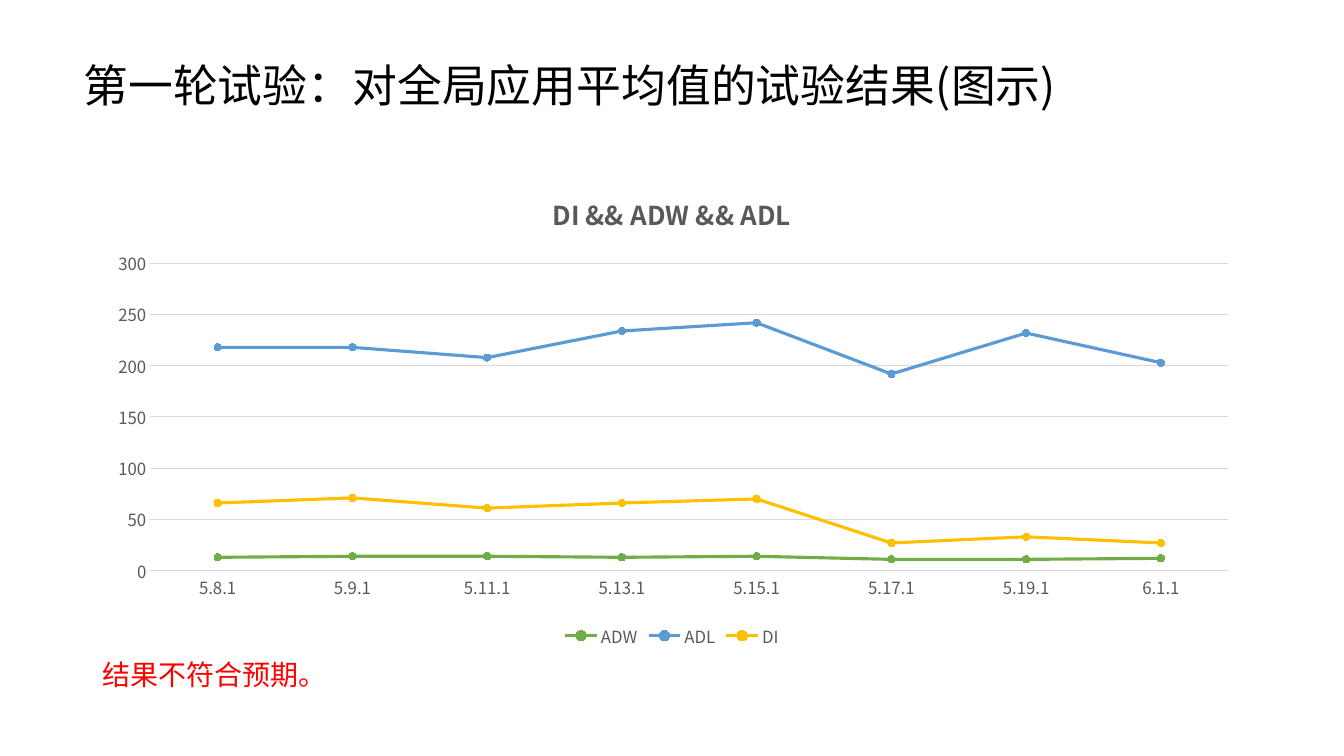
from lxml import etree
from pptx import Presentation
from pptx.chart.data import CategoryChartData
from pptx.dml.color import RGBColor
from pptx.enum.chart import XL_CHART_TYPE as ChartType
from pptx.enum.chart import XL_LEGEND_POSITION as LegendPosition
from pptx.enum.chart import XL_MARKER_STYLE as MarkerStyle
from pptx.enum.chart import XL_TICK_MARK as TickMark
from pptx.enum.text import MSO_ANCHOR as Anchor
from pptx.enum.text import PP_ALIGN as Align
from pptx.oxml.ns import qn
from pptx.util import Pt

FONT = "Noto Sans CJK SC"
COLORS = {
    "title": "000000",
    "note": "FF0000",
    "label": "595959",
    "grid": "D9D9D9",
    "ADW": "70AD47",
    "ADL": "5B9BD5",
    "DI": "FFC000",
}
VERSIONS = ["5.8.1", "5.9.1", "5.11.1", "5.13.1", "5.15.1", "5.17.1", "5.19.1", "6.1.1"]
RESULTS = {
    "ADW": [13, 14, 14, 13, 14, 11, 11, 12],
    "ADL": [218, 218, 208, 234, 242, 192, 232, 203],
    "DI": [66, 71, 61, 66, 70, 27, 33, 27],
}
PLOT_AREA = {"x": 0.05, "y": 0.19, "w": 0.93, "h": 0.64}


def color(name):
    return RGBColor.from_string(COLORS[name])


def format_font(font, size, color_name, bold=False):
    font.name, font.size, font.bold = FONT, Pt(size), bold
    font.color.rgb = color(color_name)
    # East Asian glyphs take their typeface from a:ea.
    properties = font._element
    latin = properties.find(qn("a:latin"))
    east_asian = etree.Element(qn("a:ea"), typeface=FONT)
    latin.addnext(east_asian)


def write(text_frame, text, size, color_name, bold=False, wrap=True):
    text_frame.word_wrap = wrap
    text_frame.vertical_anchor = Anchor.MIDDLE
    paragraph = text_frame.paragraphs[0]
    paragraph.alignment = Align.LEFT
    run = paragraph.add_run()
    run.text = text
    format_font(run.font, size, color_name, bold)


def place_plot_area(chart, box):
    """Fix the inner plot area as fractions of the chart frame."""
    plot_area = chart._chartSpace.chart.plotArea
    for old_layout in plot_area.findall(qn("c:layout")):
        plot_area.remove(old_layout)
    layout = etree.Element(qn("c:layout"))
    manual = etree.SubElement(layout, qn("c:manualLayout"))
    settings = {"layoutTarget": "inner", "xMode": "edge", "yMode": "edge", **box}
    for tag, value in settings.items():
        etree.SubElement(manual, qn(f"c:{tag}"), val=str(value))
    plot_area.insert(0, layout)


class SlideBuilder:
    """Adds styled elements to one slide; boxes are left, top, width, height in points."""

    def __init__(self, presentation):
        self.slide = presentation.slides.add_slide(presentation.slide_layouts[5])

    def title(self, text, box, size):
        shape = self.slide.shapes.title
        shape.left, shape.top, shape.width, shape.height = map(Pt, box)
        write(shape.text_frame, text, size, "title")

    def note(self, text, box, size):
        shape = self.slide.shapes.add_textbox(*map(Pt, box))
        write(shape.text_frame, text, size, "note", wrap=False)

    def line_chart(self, title, categories, results, box):
        data = CategoryChartData()
        data.categories = categories
        for name, values in results.items():
            data.add_series(name, values)
        frame = self.slide.shapes.add_chart(ChartType.LINE_MARKERS, *map(Pt, box), data)
        chart = frame.chart
        format_font(chart.font, 12, "label")

        chart.has_title = True
        title_frame = chart.chart_title.text_frame
        run = title_frame.paragraphs[0].add_run()
        run.text = title
        format_font(run.font, 18.6, "label", bold=True)
        chart.chart_title.include_in_layout = False

        chart.has_legend = True
        chart.legend.position = LegendPosition.BOTTOM
        chart.legend.include_in_layout = False
        format_font(chart.legend.font, 12, "label")

        self.style_axes(chart)
        self.style_series(chart.plots[0])
        place_plot_area(chart, PLOT_AREA)

    def style_axes(self, chart):
        category_axis, value_axis = chart.category_axis, chart.value_axis
        for axis in (category_axis, value_axis):
            axis.major_tick_mark = axis.minor_tick_mark = TickMark.NONE
            format_font(axis.tick_labels.font, 12, "label")
        value_axis.minimum_scale, value_axis.maximum_scale = 0, 300
        value_axis.major_unit = 50
        value_axis.format.line.fill.background()
        for line in (category_axis.format.line, value_axis.major_gridlines.format.line):
            line.color.rgb = color("grid")
            line.width = Pt(0.75)

    def style_series(self, plot):
        plot.vary_by_categories = False
        for series in plot.series:
            series.smooth = False
            series.format.line.color.rgb = color(series.name)
            series.format.line.width = Pt(2.25)
            marker = series.marker
            marker.style, marker.size = MarkerStyle.CIRCLE, 5
            marker.format.fill.solid()
            marker.format.fill.fore_color.rgb = color(series.name)
            marker.format.line.color.rgb = color(series.name)


def main():
    presentation = Presentation()
    presentation.slide_width, presentation.slide_height = Pt(960), Pt(540)
    builder = SlideBuilder(presentation)
    builder.title("第一轮试验：对全局应用平均值的试验结果(图示)", (52.5, 37.5, 745, 46), 32)
    builder.line_chart("DI && ADW && ADL", VERSIONS, RESULTS, (66, 123, 828, 343))
    builder.note("结果不符合预期。", (66, 466, 176, 31.5), 20)
    presentation.save("out.pptx")


if __name__ == "__main__":
    main()
